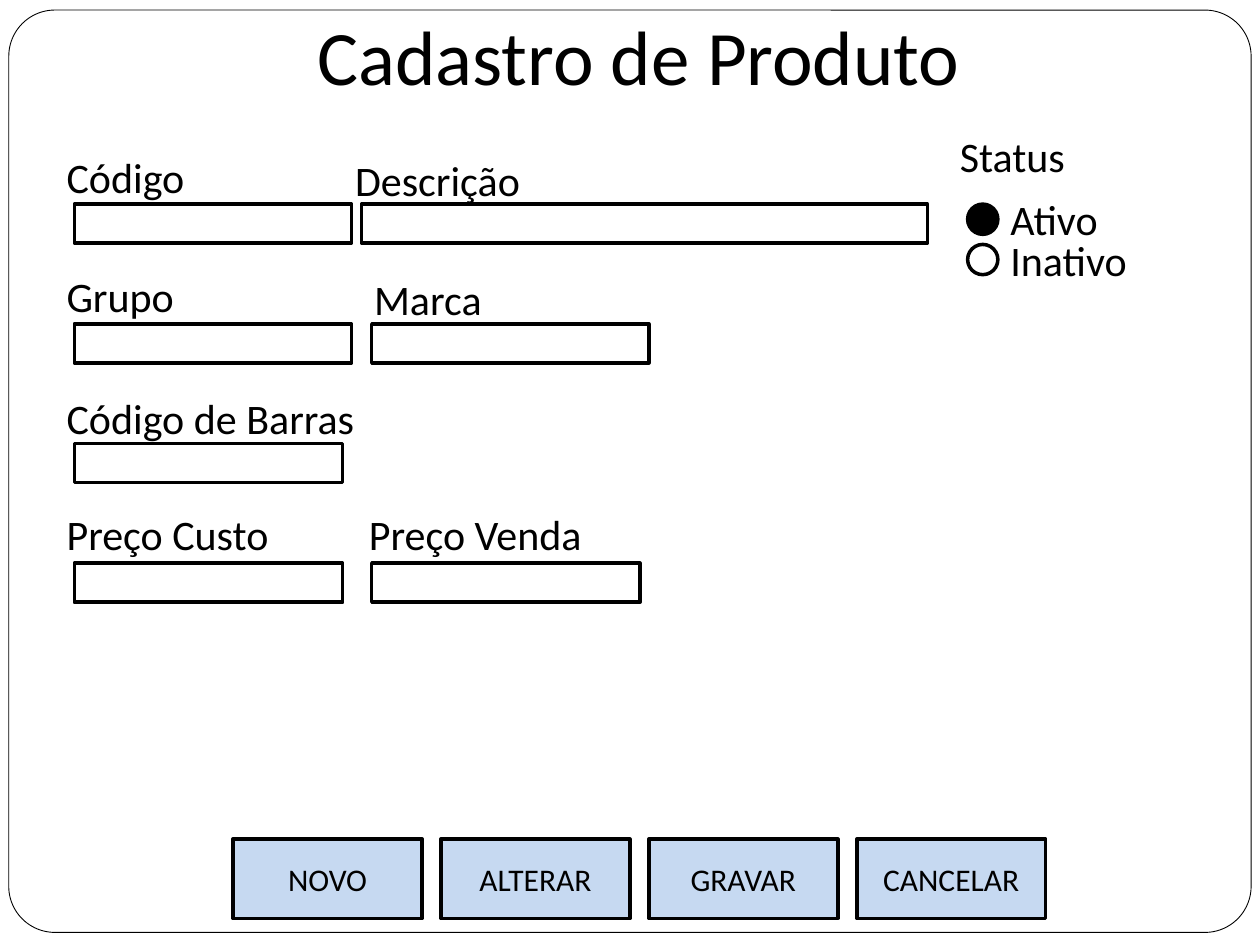
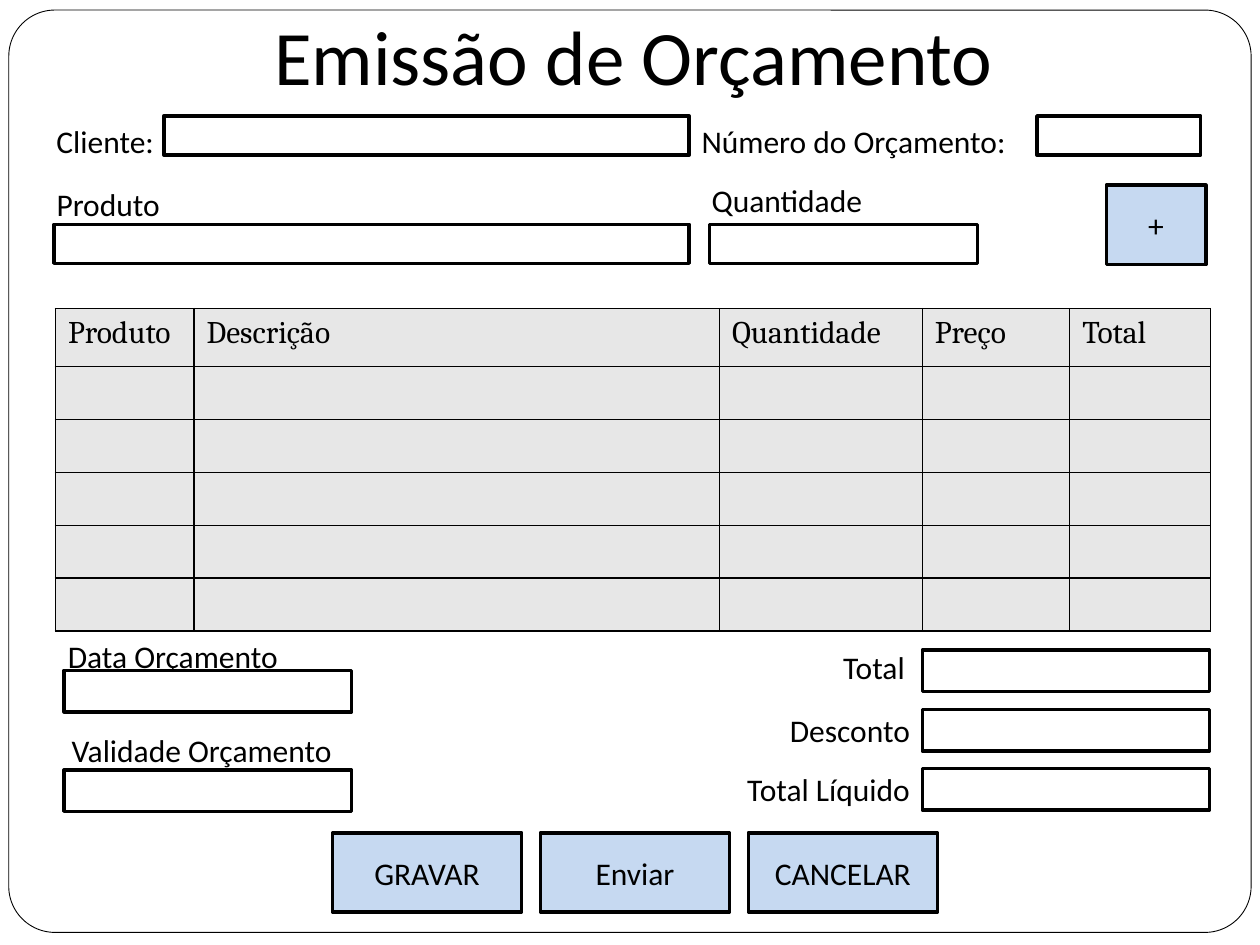
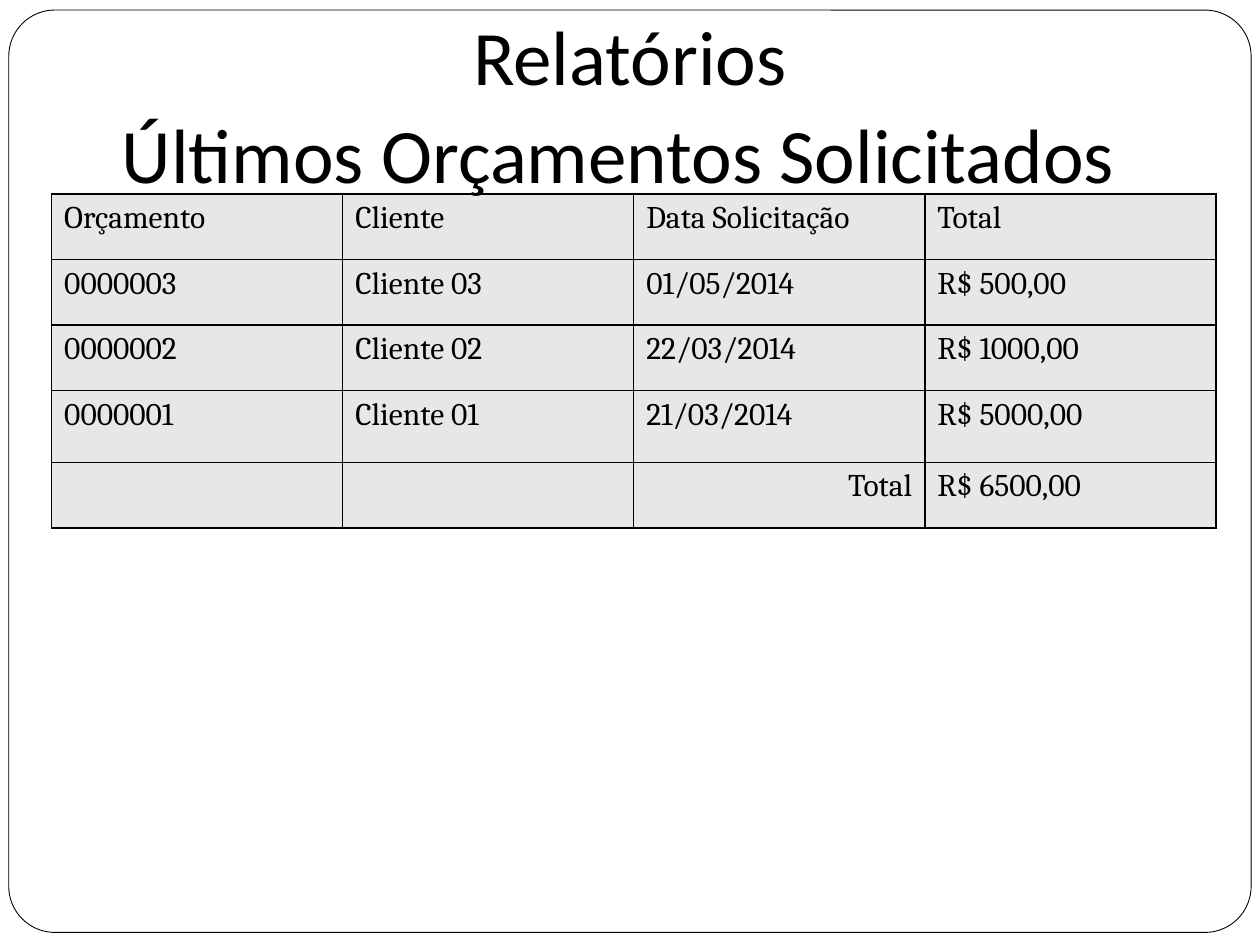
"""Build three wireframe slides: product form, quote form and quote report."""
from dataclasses import dataclass

from lxml.etree import SubElement
from pptx import Presentation
from pptx.dml.color import RGBColor
from pptx.enum.shapes import MSO_SHAPE
from pptx.enum.text import MSO_ANCHOR, PP_ALIGN
from pptx.oxml.ns import qn
from pptx.util import Inches, Pt


@dataclass(frozen=True)
class Theme:
    ink: str = "000000"
    paper: str = "FFFFFF"
    button: str = "C6D9F1"
    cell: str = "E7E7E7"
    body_font: str = "Calibri"
    table_font: str = "Cambria"
    title_size: int = 44
    form_size: int = 24
    small_size: int = 18
    outline: float = 2
    hairline: float = 0.5
    border: float = 1


@dataclass(frozen=True)
class Field:
    label: str
    column: float
    row: float
    width: float
    label_shift: float
    label_lift: float
    label_width: float
    align: PP_ALIGN = PP_ALIGN.LEFT


THEME = Theme()
SLIDE_WIDTH, SLIDE_HEIGHT = 10, 7.5
MARGIN_X, MARGIN_Y = 0.07, 0.08
TITLE_TOP, TITLE_WIDTH, TITLE_HEIGHT = -0.03, 9, 0.93
LABEL_HEIGHT = 0.44
BUTTON_WIDTH, BUTTON_HEIGHT, BUTTON_GAP = 1.5, 0.63, 0.15
DOT = 0.24

FIRST, SECOND = 0.59, 2.95
FORM_ROWS = [1.62 + 0.95 * row for row in range(4)]
PRODUCT_FIELDS = [
    Field("Código", FIRST, FORM_ROWS[0], 2.2, -0.16, 0.47, 3.85),
    Field("Descrição", 2.87, FORM_ROWS[0], 4.49, -0.15, 0.44, 4.79),
    Field("Grupo", FIRST, FORM_ROWS[1], 2.2, -0.16, 0.47, 2.36),
    Field("Marca", SECOND, FORM_ROWS[1], 2.2, -0.08, 0.45, 2.28),
    Field("Código de Barras", FIRST, FORM_ROWS[2], 2.13, -0.16, 0.45, 4.25),
    Field("Preço Custo", FIRST, FORM_ROWS[3], 2.13, -0.16, 0.48, 3.82),
    Field("Preço Venda", SECOND, FORM_ROWS[3], 2.13, -0.12, 0.48, 3.19),
]
STATUS = ("Status", 7.52, 0.99, 2.36)
STATUS_OPTIONS = [("Ativo", THEME.ink), ("Inativo", THEME.paper)]
OPTION_LEFT, OPTION_TOP, OPTION_STEP = 7.68, 1.62, 0.32
PRODUCT_BUTTONS = ["NOVO", "ALTERAR", "GRAVAR", "CANCELAR"]

TOTAL_ROWS = [5.16 + 0.47 * row for row in range(3)]
QUOTE_FIELDS = [
    Field("Cliente:", 1.3, 0.92, 4.17, -0.95, 0, 1.2),
    Field("Número do Orçamento:", 8.23, 0.92, 1.3, -2.76, 0, 2.76),
    Field("Produto", 0.43, 1.78, 5.04, -0.08, 0.36, 5.12),
    Field("Quantidade", 5.63, 1.78, 2.13, -0.08, 0.39, 2.36),
]
SUMMARY_FIELDS = [
    Field("Total", 7.32, TOTAL_ROWS[0], 2.28, -1.61, 0.07, 1.57, PP_ALIGN.RIGHT),
    Field("Desconto", 7.32, TOTAL_ROWS[1], 2.28, -1.57, 0.04, 1.57, PP_ALIGN.RIGHT),
    Field("Total Líquido", 7.32, TOTAL_ROWS[2], 2.28, -1.57, 0.04, 1.57, PP_ALIGN.RIGHT),
    Field("Data Orçamento", 0.51, 5.32, 2.28, -0.07, 0.31, 2.28),
    Field("Validade Orçamento", 0.51, 6.11, 2.28, -0.04, 0.36, 2.28),
]
QUOTE_BUTTONS = ["GRAVAR", "Enviar", "CANCELAR"]
QUOTE_COLUMNS = [1.1, 4.17, 1.61, 1.17, 1.12]
QUOTE_ROWS = [0.46] + [0.42] * 5
QUOTE_ITEMS = [["Produto", "Descrição", "Quantidade", "Preço", "Total"]] + [[""] * 5] * 5

REPORT_COLUMNS = [2.31] * 4
REPORT_ROWS = [0.52, 0.52, 0.52, 0.57, 0.52]
REPORT_ITEMS = [
    ["Orçamento", "Cliente", "Data Solicitação", "Total"],
    ["0000003", "Cliente 03", "01/05/2014", "R$ 500,00"],
    ["0000002", "Cliente 02", "22/03/2014", "R$ 1000,00"],
    ["0000001", "Cliente 01", "21/03/2014", "R$ 5000,00"],
    ["", "", "Total", "R$ 6500,00"],
]


def colour(code):
    return RGBColor.from_string(code)


def write(frame, text, size, align=PP_ALIGN.LEFT, font=THEME.body_font):
    para = frame.paragraphs[0]
    para.alignment = align
    span = para.add_run()
    span.text = text
    span.font.name = font
    span.font.size = Pt(size)
    span.font.color.rgb = colour(THEME.ink)


def add_text(page, text, left, top, width, size, height=LABEL_HEIGHT,
             align=PP_ALIGN.LEFT, anchor=MSO_ANCHOR.TOP):
    box = page.shapes.add_textbox(Inches(left), Inches(top), Inches(width), Inches(height))
    box.text_frame.word_wrap = True
    box.text_frame.vertical_anchor = anchor
    write(box.text_frame, text, size, align)


def add_title(page, text, left=0.5, top=TITLE_TOP):
    add_text(page, text, left, top, TITLE_WIDTH, THEME.title_size, TITLE_HEIGHT,
             PP_ALIGN.CENTER, MSO_ANCHOR.MIDDLE)


def add_box(page, left, top, width, height, fill=THEME.paper,
            kind=MSO_SHAPE.RECTANGLE, weight=THEME.outline):
    box = page.shapes.add_shape(kind, Inches(left), Inches(top), Inches(width), Inches(height))
    box.shadow.inherit = False
    box.fill.solid()
    box.fill.fore_color.rgb = colour(fill)
    box.line.color.rgb = colour(THEME.ink)
    box.line.width = Pt(weight)
    return box


def add_button(page, text, left, top, width=BUTTON_WIDTH):
    box = add_box(page, left, top, width, BUTTON_HEIGHT, THEME.button)
    box.text_frame.vertical_anchor = MSO_ANCHOR.MIDDLE
    write(box.text_frame, text, THEME.small_size, PP_ALIGN.CENTER)


def add_buttons(page, texts, left, top):
    for index, text in enumerate(texts):
        add_button(page, text, left + index * (BUTTON_WIDTH + BUTTON_GAP), top)


def add_fields(page, fields, size, height):
    for field in fields:
        add_text(page, field.label, field.column + field.label_shift,
                 field.row - field.label_lift, field.label_width, size, align=field.align)
        add_box(page, field.column, field.row, field.width, height)


def add_borders(cell):
    properties = cell._tc.get_or_add_tcPr()
    for index, side in enumerate(("a:lnL", "a:lnR", "a:lnT", "a:lnB")):
        line = properties.makeelement(qn(side), {"w": str(Pt(THEME.border))})
        fill = SubElement(line, qn("a:solidFill"))
        SubElement(fill, qn("a:srgbClr"), val=THEME.ink)
        properties.insert(index, line)


def add_grid(page, items, left, top, columns, rows):
    table = page.shapes.add_table(len(rows), len(columns), Inches(left), Inches(top),
                                  Inches(sum(columns)), Inches(sum(rows))).table
    for column, width in zip(table.columns, columns):
        column.width = Inches(width)
    for row, height, texts in zip(table.rows, rows, items):
        row.height = Inches(height)
        for cell, text in zip(row.cells, texts):
            cell.fill.solid()
            cell.fill.fore_color.rgb = colour(THEME.cell)
            add_borders(cell)
            if text:
                align = PP_ALIGN.RIGHT if text == "Total" and not texts[0] else PP_ALIGN.LEFT
                write(cell.text_frame, text, THEME.small_size, align, THEME.table_font)


def add_page(deck):
    page = deck.slides.add_slide(deck.slide_layouts[6])
    frame = add_box(page, MARGIN_X, MARGIN_Y, SLIDE_WIDTH - 2 * MARGIN_X, 7.32,
                    kind=MSO_SHAPE.ROUNDED_RECTANGLE, weight=THEME.hairline)
    frame.adjustments[0] = 0.05
    return page


def build_product(deck):
    page = add_page(deck)
    add_title(page, "Cadastro de Produto", left=0.57)
    add_fields(page, PRODUCT_FIELDS, THEME.form_size, 0.31)
    add_text(page, *STATUS, THEME.form_size)
    for index, (text, fill) in enumerate(STATUS_OPTIONS):
        top = OPTION_TOP + index * OPTION_STEP
        add_box(page, OPTION_LEFT, top, DOT, DOT, fill, MSO_SHAPE.OVAL)
        add_text(page, text, OPTION_LEFT + DOT, top - 0.13, 2.28, THEME.form_size)
    add_buttons(page, PRODUCT_BUTTONS, 1.85, 6.66)


def build_quote(deck):
    page = add_page(deck)
    add_title(page, "Emissão de Orçamento", left=0.53)
    add_fields(page, QUOTE_FIELDS, THEME.small_size, 0.31)
    add_button(page, "+", 8.78, 1.47, 0.79)
    add_grid(page, QUOTE_ITEMS, 0.44, 2.45, QUOTE_COLUMNS, QUOTE_ROWS)
    add_fields(page, SUMMARY_FIELDS, THEME.small_size, 0.33)
    add_buttons(page, QUOTE_BUTTONS, 2.64, 6.61)


def build_report(deck):
    page = add_page(deck)
    add_title(page, "Relatórios")
    add_grid(page, REPORT_ITEMS, 0.41, 1.54, REPORT_COLUMNS, REPORT_ROWS)
    add_title(page, "Últimos Orçamentos Solicitados", left=0.41, top=0.75)


deck = Presentation()
deck.slide_width, deck.slide_height = Inches(SLIDE_WIDTH), Inches(SLIDE_HEIGHT)
for build in (build_product, build_quote, build_report):
    build(deck)
deck.save("out.pptx")
